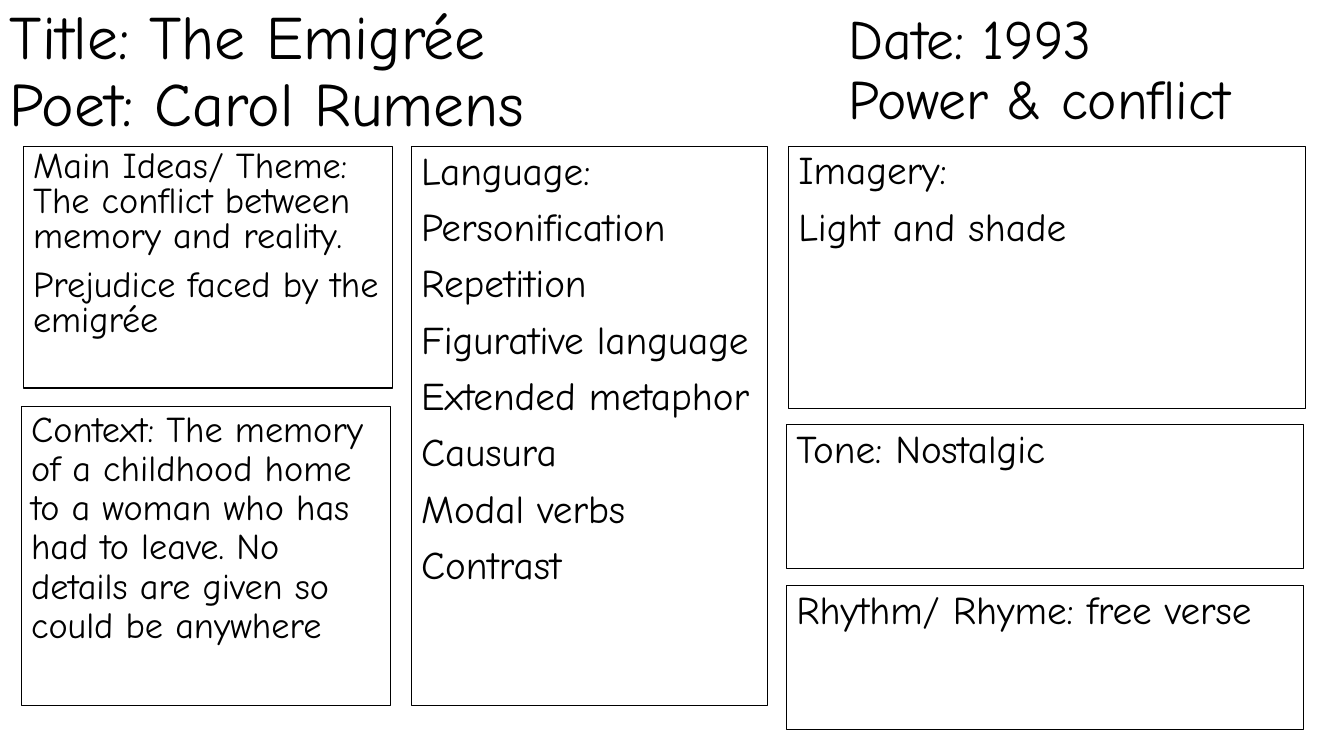
from pptx import Presentation
from pptx.dml.color import RGBColor
from pptx.enum.shapes import MSO_SHAPE as Shape
from pptx.enum.text import MSO_ANCHOR as Anchor, PP_ALIGN as Align
from pptx.util import Pt

SCALE = 9144
FONT = "Comic Neue"
INK = "000000"


def px(n):
    """Turn px, a hundred to the inch, into EMU."""
    return n * SCALE


def color(code):
    """Turn a hex string into a colour."""
    return RGBColor.from_string(code)


def add_run(para, text, size):
    """Add one styled run to a paragraph."""
    run = para.add_run()
    run.text = text
    run.font.name = FONT
    run.font.size = Pt(size)
    run.font.color.rgb = color(INK)


def add_head(slide, area, lines, size):
    """Add a heading of lines joined by breaks."""
    frame = slide.shapes.add_textbox(*map(px, area)).text_frame
    frame.word_wrap = True
    frame.vertical_anchor = Anchor.MIDDLE
    para = frame.paragraphs[0]
    para.line_spacing = 0.9
    for i, line in enumerate(lines):
        if i:
            para.add_line_break()
        add_run(para, line, size)


def add_panel(slide, area, texts, size=28, spacing=0.9):
    """Add an outlined panel with one paragraph per text."""
    panel = slide.shapes.add_shape(Shape.RECTANGLE, *map(px, area))
    panel.shadow.inherit = False
    panel.fill.background()
    panel.line.color.rgb = color(INK)
    panel.line.width = Pt(0.75)
    frame = panel.text_frame
    frame.word_wrap = True
    frame.vertical_anchor = Anchor.TOP
    for i, text in enumerate(texts):
        para = frame.add_paragraph() if i else frame.paragraphs[0]
        para.alignment = Align.LEFT
        para.line_spacing = spacing
        para.space_before = Pt(10)
        add_run(para, text, size)


def main():
    """Build the poem summary slide."""
    deck = Presentation()
    deck.slide_width, deck.slide_height = px(1333), px(750)
    slide = deck.slides.add_slide(deck.slide_layouts[6])

    add_head(slide, (0, 0, 724, 145),
             ["Title: The Emigrée", "Poet: Carol Rumens"], 44)
    add_head(slide, (832, 14, 501, 114),
             ["Date: 1993", "Power & conflict"], 39.6)

    add_panel(slide, (23, 145, 366, 240), [
        "Main Ideas/ Theme: The conflict between memory and reality.",
        "Prejudice faced by the emigrée"], 25.9, 0.8)
    add_panel(slide, (21, 403, 366, 297), [
        "Context: The memory of a childhood home to a woman who has had "
        "to leave. No details are given so could be anywhere"], 25.9)
    add_panel(slide, (408, 145, 353, 555), [
        "Language:", "Personification", "Repetition",
        "Figurative language", "Extended metaphor", "Causura",
        "Modal verbs", "Contrast"])
    add_panel(slide, (782, 145, 513, 260), ["Imagery:", "Light and shade"])
    for i, text in enumerate(["Tone: Nostalgic",
                              "Rhythm/ Rhyme: free verse"]):
        add_panel(slide, (780, 421 + 160 * i, 513, 143), [text])

    deck.save("out.pptx")


if __name__ == "__main__":
    main()
